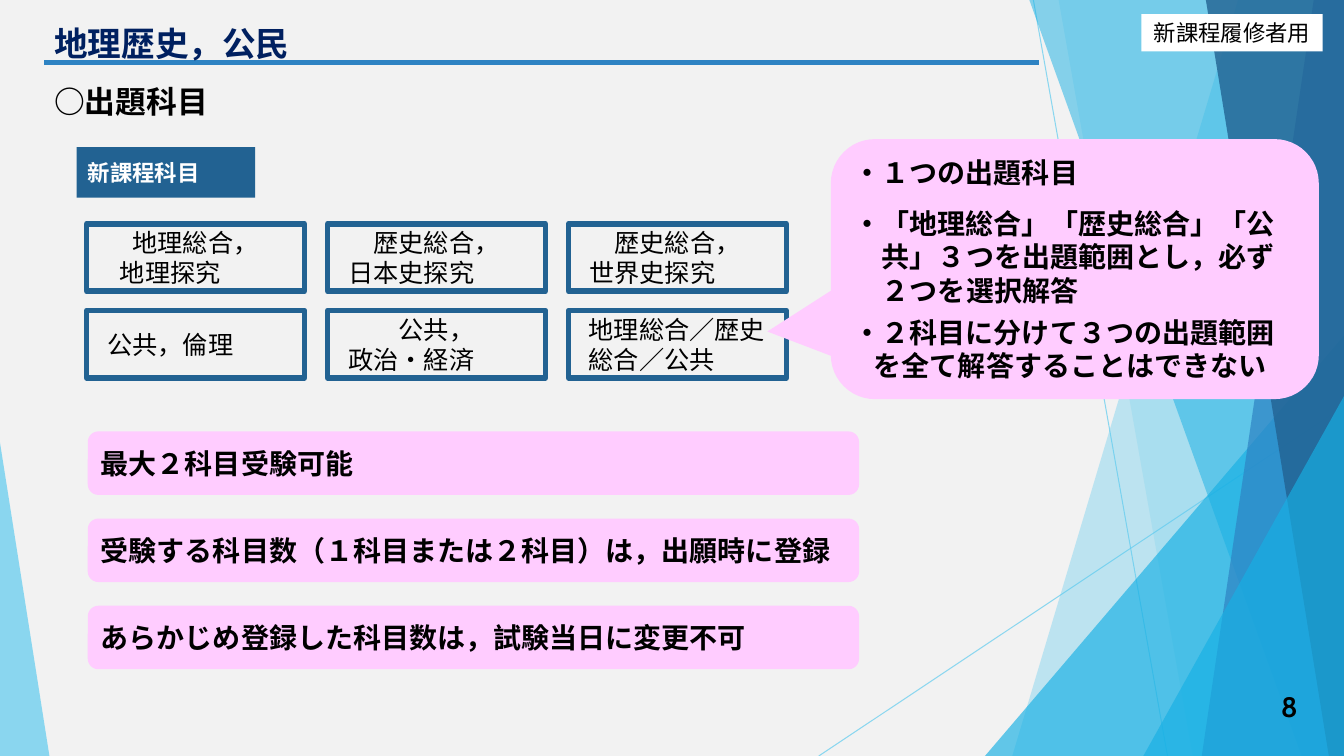
"""Build the slide on subjects set in geography, history and civics."""
from pptx import Presentation, util as u
from pptx.dml.color import RGBColor
from pptx.enum import shapes as sh, text as tx
from lxml import etree

NS = "{http://schemas.openxmlformats.org/drawingml/2006/main}"
HUE = {"back": "F2F2F2", "sky": "5FCBEF", "aqua": "17B0E4", "blue": "2E83C3",
       "deep": "226292", "navy": "002060", "pink": "FFCCFF", "white": "FFFFFF", "black": "000000"}
KIND, ALIGN, ANCHOR = sh.MSO_SHAPE, tx.PP_ALIGN, tx.MSO_ANCHOR

deck = Presentation()
deck.slide_width, deck.slide_height = u.Inches(13.33), u.Inches(7.5)
col, row = deck.slide_width / 100, deck.slide_height / 100
slide = deck.slides.add_slide(deck.slide_layouts[6])
slide.background.fill.solid()
slide.background.fill.fore_color.rgb = RGBColor.from_string(HUE["back"])
items = slide.shapes


def paint(fill, owner, hue, share=100):
    fill.solid()
    fill.fore_color.rgb = RGBColor.from_string(HUE[hue])
    if share < 100:
        for tint in owner._element.spPr.iter(NS + "srgbClr"):
            etree.SubElement(tint, NS + "alpha", val=str(share * 1000))


def block(kind, place, hue=None, lines=(), size=20, bold=True, ink="black",
          align=ALIGN.LEFT, anchor=ANCHOR.MIDDLE, share=100, adjust=()):
    x, y, w, h = place
    area = [int(x * col), int(y * row), int(w * col), int(h * row)]
    item = items.add_shape(kind, *area) if kind else items.add_textbox(*area)
    if kind:
        item.shadow.inherit = False
        item.line.fill.background()
        paint(item.fill, item, hue, share)
    for spot, value in enumerate(adjust):
        item.adjustments[spot] = value
    frame = item.text_frame
    for name, value in {"word_wrap": True, "vertical_anchor": anchor}.items():
        setattr(frame, name, value)
    for spot, (words, before, dents) in enumerate(lines):
        para = frame.paragraphs[0] if spot == 0 else frame.add_paragraph()
        para.text = words
        for name, value in dents.items():
            para._p.get_or_add_pPr().set(name, str(u.Inches(value)))
        for name, value in {"alignment": align, "space_before": u.Pt(before)}.items():
            setattr(para, name, value)
        for name, value in {"name": "Cabin", "size": u.Pt(size), "bold": bold}.items():
            setattr(para.font, name, value)
        para.font.color.rgb = RGBColor.from_string(HUE[ink])
    return item


for x1, y1, x2, y2, hue, width, share in [
        (76.89, 0, 86.87, 100, "sky", 0.75, 70),
        (100, 53.73, 60.92, 100, "sky", 0.75, 70),
        (3.3, 8.27, 77.27, 8.27, "blue", 3, 100)]:
    rule = items.add_connector(sh.MSO_CONNECTOR.STRAIGHT, int(x1 * col), int(y1 * row),
                               int(x2 * col), int(y2 * row))
    rule.line.width = u.Pt(width)
    paint(rule.line.fill, rule, hue, share)
    etree.SubElement(rule._element.spPr, NS + "effectLst")

for top, foot, hue, share, peak in [
        (92.12, 75.32, "sky", 36, None),
        (78.77, 88.75, "sky", 20, (73.29, 44.4)),
        (76.59, 96.85, "aqua", 50, None),
        (97.75, 89.42, "blue", 70, None),
        (89.72, 98.87, "deep", 80, (85.07, 52.4))]:
    pen = items.build_freeform(int(top * col), 0)
    pen.add_line_segments([(int(x * col), int(y * row)) for x, y in
                           [(100, 0), (100, 100), (foot, 100)]], close=True)
    wedge = pen.convert_to_shape()
    wedge.shadow.inherit = False
    wedge.line.fill.background()
    paint(wedge.fill, wedge, hue, share)
    if peak:
        x, y = peak
        block(KIND.ISOSCELES_TRIANGLE, (x, y, 100 - x, 100 - y), "aqua", share=66, adjust=[1])
block(KIND.ISOSCELES_TRIANGLE, (0, 58.53, 3.68, 41.47), "sky", share=70, adjust=[0])

block(KIND.RECTANGLE, (84.92, 1.87, 13.5, 4.93), "white", [("新課程履修者用", 0, {})],
      16, False, align=ALIGN.CENTER)
block(None, (91.67, 90.8, 5.63, 5.33), lines=[("8", 0, {})], align=ALIGN.RIGHT)
block(None, (3.3, 2.4, 70.52, 8.27), lines=[("地理歴史，公民", 0, {})], size=24,
      ink="navy", anchor=ANCHOR.TOP)
block(None, (3.3, 10.27, 14.93, 6.27), lines=[("○出題科目", 0, {})], size=22, anchor=ANCHOR.TOP)
block(KIND.RECTANGLE, (5.7, 19.47, 13.28, 6.67), "deep", [("新課程科目", 0, {"marR": 0.44})],
      16, ink="white", align=ALIGN.CENTER)

grid = [[["地理総合，", "地理探究"], ["歴史総合，", "日本史探究"], ["歴史総合，", "世界史探究"]],
        [["公共，倫理"], ["公共，", "政治・経済"], ["地理総合／歴史総合／公共"]]]
for r, line in enumerate(grid):
    for c, names in enumerate(line):
        long = len(names[0]) > 7
        lines = [(name, 0, {"marR": 0.5} if name == names[-1] and not long else {})
                 for name in names]
        if long:
            lines = [(names[0], 0, {"marL": 0.1})]
        box = block(KIND.RECTANGLE, (6.45 + 17.93 * c, 29.6 + 11.47 * r, 16.2, 8.93), "back",
                    lines, 18, False, align=ALIGN.LEFT if long else ALIGN.CENTER)
        paint(box.line.fill, box, "deep")
        box.line.width = u.Pt(4)

rules = ["最大２科目受験可能", "受験する科目数（１科目または２科目）は，出願時に登録",
         "あらかじめ登録した科目数は，試験当日に変更不可"]
for r, words in enumerate(rules):
    block(KIND.ROUNDED_RECTANGLE, (6.53, 57.07 + 11.53 * r, 57.39, 8.4), "pink", [(words, 0, {})])

block(KIND.ROUNDED_RECTANGULAR_CALLOUT, (61.82, 18.4, 36.31, 34.4), "pink", [
    ("・１つの出題科目", 0, {}),
    ("・「地理総合」「歴史総合」「公\v共」３つを出題範囲とし，必ず\v２つを選択解答", 12,
     {"marL": 0.28, "indent": -0.28}),
    ("・２科目に分けて３つの出題範囲\vを全て解答することはできない", 6,
     {"marL": 0.2, "indent": -0.2})], adjust=[-0.63, 0.24, 0.17])

deck.save("out.pptx")
